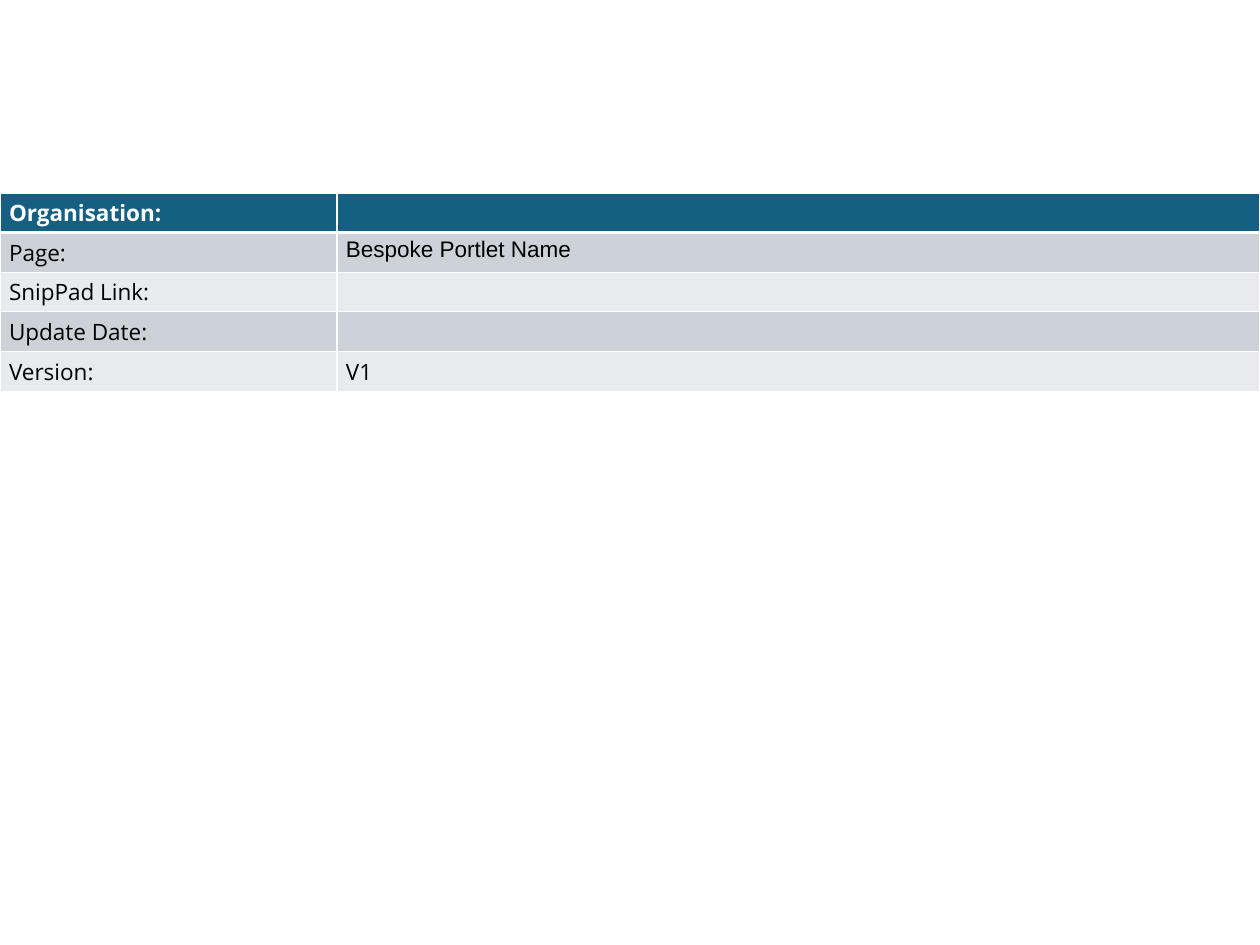
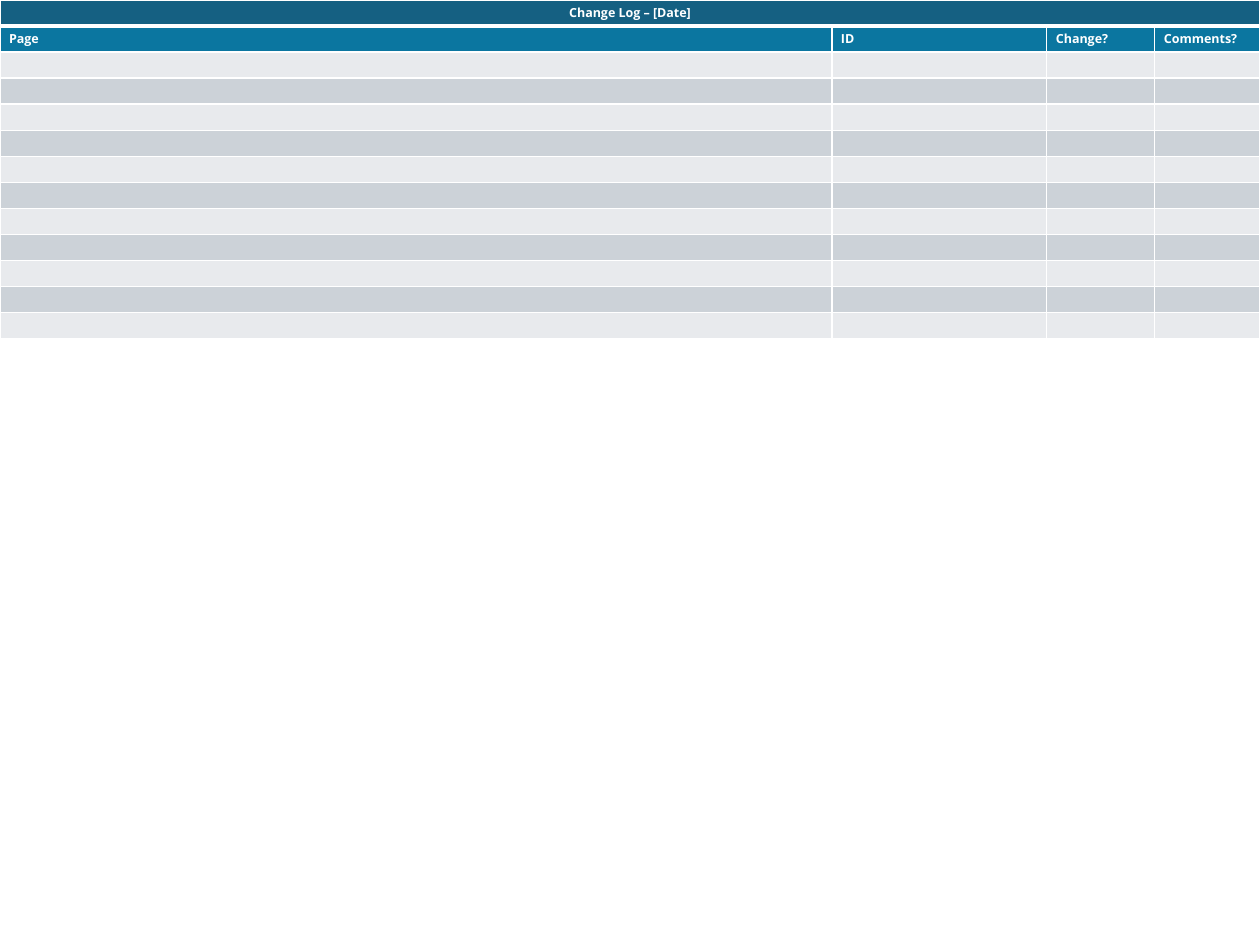
"""Build a portlet cover sheet and its change log as two table slides."""
import lxml.etree
import pptx
import pptx.dml.color
import pptx.enum.text
import pptx.oxml.ns
import pptx.util

PX = 10160
WIDE, HIGH = 1260, 945
HUE = {"head": "156082", "sub": "0B76A0", "dark": "CCD2D8", "light": "E8EAED",
       "white": "FFFFFF", "black": "000000"}
FONT = "Open Sans"
THIN, THICK = 1, 3

TABLES = [
    {"top": 193, "cols": [337, 923], "row": 39, "size": 18, "subs": 0,
     "rows": [["Organisation:", ""],
              ["Page:", "Bespoke Portlet Name"],
              ["SnipPad Link:", ""],
              ["Update Date:", ""],
              ["Version:", "V1"]],
     "fonts": {(1, 1): "Arial"}},
    {"top": 0, "cols": [832, 215, 108, 105], "row": 26, "size": 10, "subs": 1,
     "rows": [["Change Log – [Date]", "", "", ""],
              ["Page", "ID", "Change?", "Comments?"]] + [[""] * 4] * 11,
     "fonts": {}, "title": True},
]


def paint(row, subs):
    """Return the fill name of a row: header, sub-header or stripe."""
    if row == 0:
        return "head"
    if row <= subs:
        return "sub"
    return "dark" if row % 2 else "light"


def edge(cell, row):
    """Draw white cell borders, thick below the header row."""
    props = cell._tc.get_or_add_tcPr()
    tag = pptx.oxml.ns.qn
    widths = {"L": THIN, "R": THIN, "T": THICK if row == 1 else THIN,
              "B": THICK if row == 0 else THIN}
    for place, (side, width) in enumerate(widths.items()):
        line = lxml.etree.Element(tag("a:ln" + side), w=str(pptx.util.Pt(width)))
        fill = lxml.etree.SubElement(line, tag("a:solidFill"))
        lxml.etree.SubElement(fill, tag("a:srgbClr"), val=HUE["white"])
        props.insert(place, line)


def write(cell, text, style, hue):
    """Put styled text in a cell, or size its empty paragraph."""
    para = cell.text_frame.paragraphs[0]
    if not text:
        end = lxml.etree.SubElement(para._p, pptx.oxml.ns.qn("a:endParaRPr"),
                                    sz=str(style["size"].centipoints))
        lxml.etree.SubElement(end, pptx.oxml.ns.qn("a:latin"), typeface=style["name"])
        return
    run = para.add_run()
    run.text = text
    for key, value in style.items():
        setattr(run.font, key, value)
    run.font.color.rgb = pptx.dml.color.RGBColor.from_string(HUE[hue])


def build(slide, data):
    """Add one full-width table to a slide."""
    rows, cols = data["rows"], data["cols"]
    frame = slide.shapes.add_table(len(rows), len(cols), 0, data["top"] * PX,
                                   WIDE * PX, data["row"] * len(rows) * PX)
    table = frame.table
    for col, width in zip(table.columns, cols):
        col.width = width * PX
    for r, texts in enumerate(rows):
        table.rows[r].height = data["row"] * PX
        head = r <= data["subs"]
        for c, text in enumerate(texts):
            cell = table.cell(r, c)
            cell.fill.solid()
            cell.fill.fore_color.rgb = pptx.dml.color.RGBColor.from_string(
                HUE[paint(r, data["subs"])])
            edge(cell, r)
            style = {"name": data["fonts"].get((r, c), FONT),
                     "size": pptx.util.Pt(data["size"]), "bold": head}
            write(cell, text, style, "white" if head else "black")
    if data.get("title"):
        first = table.cell(0, 0)
        first.merge(table.cell(0, len(cols) - 1))
        first.text_frame.paragraphs[0].alignment = pptx.enum.text.PP_ALIGN.CENTER


def main():
    """Create and save the deck."""
    deck = pptx.Presentation()
    deck.slide_width, deck.slide_height = WIDE * PX, HIGH * PX
    for data in TABLES:
        build(deck.slides.add_slide(deck.slide_layouts[6]), data)
    deck.save("out.pptx")


if __name__ == "__main__":
    main()
